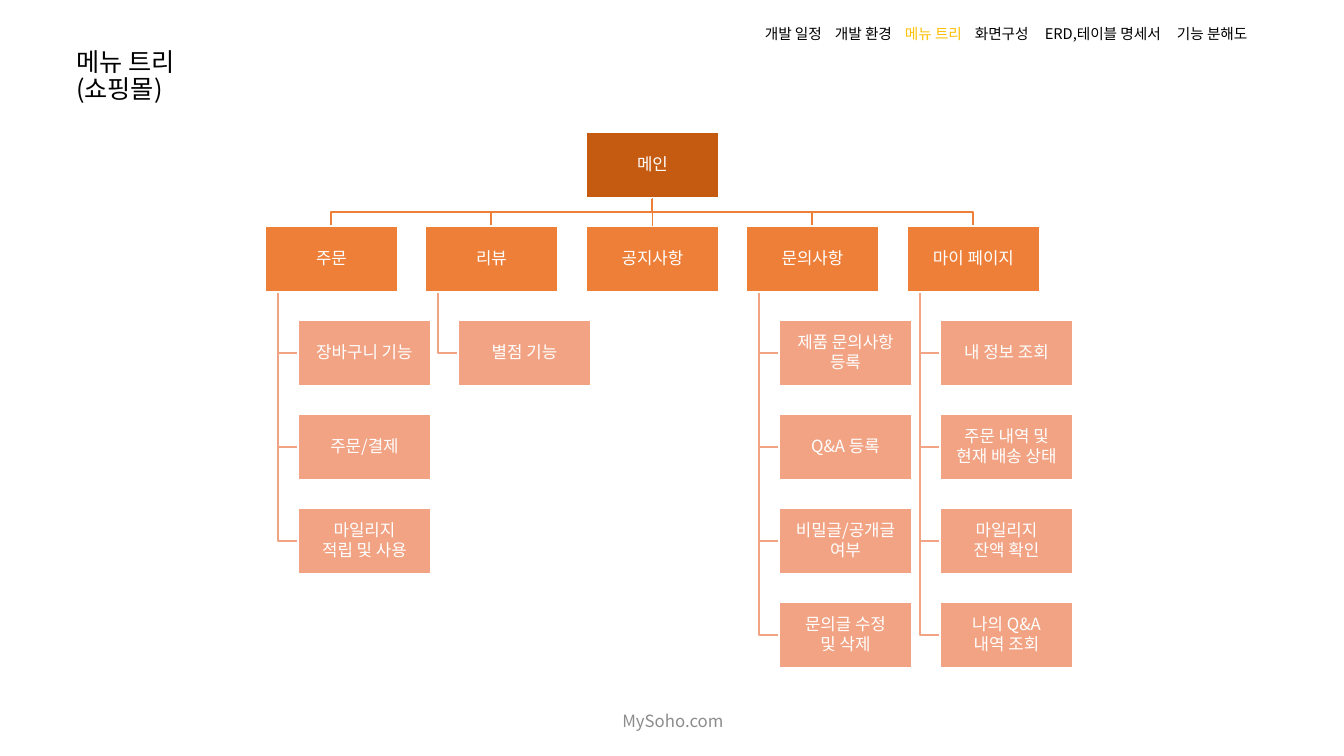
from dataclasses import dataclass
from lxml.etree import SubElement
from pptx import Presentation
from pptx.dml.color import RGBColor
from pptx.enum.shapes import MSO_CONNECTOR, MSO_SHAPE
from pptx.enum.text import MSO_ANCHOR, MSO_AUTO_SIZE, PP_ALIGN
from pptx.oxml.ns import qn
from pptx.shapes.autoshape import Shape
from pptx.slide import Slide
from pptx.text.text import TextFrame, _Run
from pptx.util import Emu, Pt

SCALE = 914400 / 100.8  # EMU per px
FONT = "Noto Sans CJK KR"
BLACK = RGBColor(0x00, 0x00, 0x00)
WHITE = RGBColor(0xFF, 0xFF, 0xFF)
GRAY = RGBColor(0x8C, 0x8C, 0x8C)
GOLD = RGBColor(0xFF, 0xC0, 0x00)
BROWN = RGBColor(0xC5, 0x5A, 0x11)
ORANGE = RGBColor(0xED, 0x7F, 0x39)
PEACH = RGBColor(0xF1, 0xA3, 0x83)

# Tree grid, in px
LEFT, TOP = 265, 132
BOX_W, BOX_H = 133, 66
ROW = 94
INDENT, TRUNK = 33, 13
BUS = TOP + (BOX_H + ROW) // 2


@dataclass
class Branch:
    name: str
    items: list[str]


@dataclass
class Tab:
    name: str
    stop: int
    color: RGBColor = BLACK


MENU = [
    Branch("주문", ["장바구니 기능", "주문/결제", "마일리지\n적립 및 사용"]),
    Branch("리뷰", ["별점 기능"]),
    Branch("공지사항", []),
    Branch("문의사항", ["제품 문의사항\n등록", "Q&A 등록", "비밀글/공개글\n여부",
                    "문의글 수정\n및 삭제"]),
    Branch("마이 페이지", ["내 정보 조회", "주문 내역 및\n현재 배송 상태",
                      "마일리지\n잔액 확인", "나의 Q&A\n내역 조회"]),
]
TABS = [
    Tab("개발 일정", 0),
    Tab("개발 환경", 70),
    Tab("메뉴 트리", 140, GOLD),
    Tab("화면구성", 210),
    Tab("ERD,테이블 명세서", 280),
    Tab("기능 분해도", 412),
]


def px(n: float) -> Emu:
    return Emu(round(n * SCALE))


def col(i: int) -> int:
    return LEFT + 321 * i // 2


def row(i: int) -> int:
    return TOP + ROW * i


def style(run: _Run, size: float, color: RGBColor) -> None:
    run.font.size = Pt(size)
    run.font.name = FONT
    run.font.color.rgb = color
    SubElement(run.font._element, qn("a:ea"), typeface=FONT)


def fill_text(frame: TextFrame, text: str, size: float, color: RGBColor) -> None:
    frame.text = text
    for para in frame.paragraphs:
        for run in para.runs:
            style(run, size, color)


def add_box(slide: Slide, x: int, y: int, text: str, color: RGBColor) -> Shape:
    box = slide.shapes.add_shape(MSO_SHAPE.RECTANGLE, px(x), px(y), px(BOX_W), px(BOX_H))
    box.shadow.inherit = False
    box.fill.solid()
    box.fill.fore_color.rgb = color
    box.line.color.rgb = WHITE
    box.line.width = Pt(1)
    frame = box.text_frame
    frame.margin_left = frame.margin_right = px(1)
    frame.margin_top = frame.margin_bottom = px(1)
    frame.vertical_anchor = MSO_ANCHOR.MIDDLE
    fill_text(frame, text, 12, WHITE)
    for para in frame.paragraphs:
        para.alignment = PP_ALIGN.CENTER
        para.line_spacing = 0.9
        para.space_after = Pt(1.5)
    return box


def add_elbow(slide: Slide, points: list[tuple[int, int]], color: RGBColor) -> None:
    path = slide.shapes.build_freeform(*points[0], scale=SCALE)
    path.add_line_segments(points[1:], close=False)
    elbow = path.convert_to_shape()
    elbow.shadow.inherit = False
    elbow.fill.background()
    elbow.line.color.rgb = color
    elbow.line.width = Pt(1)


def add_stem(slide: Slide, top: Shape, low: Shape) -> None:
    stem = slide.shapes.add_connector(MSO_CONNECTOR.STRAIGHT, 0, 0, 0, 0)
    stem.begin_connect(top, 2)
    stem.end_connect(low, 0)
    stem.line.color.rgb = ORANGE
    stem.line.width = Pt(1)
    SubElement(stem._element.spPr, qn("a:effectLst"))


def add_tree(slide: Slide) -> None:
    mid = len(MENU) // 2
    hub = col(mid) + BOX_W // 2
    # Lines lie behind the boxes
    for i, branch in enumerate(MENU):
        x = col(i)
        if i != mid:
            end = x + BOX_W // 2
            add_elbow(slide, [(hub, TOP + BOX_H), (hub, BUS), (end, BUS), (end, row(1))], ORANGE)
        for j in range(len(branch.items)):
            y = row(j + 2) + BOX_H // 2
            add_elbow(slide, [(x + TRUNK, row(1) + BOX_H), (x + TRUNK, y), (x + INDENT, y)], PEACH)
    # Boxes
    root = add_box(slide, col(mid), TOP, "메인", BROWN)
    for i, branch in enumerate(MENU):
        head = add_box(slide, col(i), row(1), branch.name, ORANGE)
        if i == mid:
            add_stem(slide, root, head)
        for j, item in enumerate(branch.items):
            add_box(slide, col(i) + INDENT, row(j + 2), item, PEACH)


def add_title(slide: Slide) -> None:
    title = slide.shapes.title
    title.left, title.top, title.width, title.height = px(66), px(48), px(142), px(61)
    frame = title.text_frame
    frame.vertical_anchor = MSO_ANCHOR.BOTTOM
    fill_text(frame, "메뉴 트리\v(쇼핑몰)", 18, BLACK)
    frame.paragraphs[0].alignment = PP_ALIGN.LEFT
    frame.paragraphs[0].line_spacing = 0.9


def add_nav(slide: Slide) -> None:
    frame = slide.shapes.add_textbox(px(755), px(20), px(552), px(28)).text_frame
    frame.word_wrap = True
    frame.auto_size = MSO_AUTO_SIZE.SHAPE_TO_FIT_TEXT
    para = frame.paragraphs[0]
    stops = SubElement(para._p.get_or_add_pPr(), qn("a:tabLst"))
    for i, tab in enumerate(TABS):
        if i:
            SubElement(stops, qn("a:tab"), pos=str(px(tab.stop)), algn="l")
        run = para.add_run()
        run.text = f"\t{tab.name}" if i else tab.name
        style(run, 10.5, tab.color)


def add_footer(slide: Slide) -> None:
    frame = slide.shapes.add_textbox(px(446), px(701), px(454), px(40)).text_frame
    frame.word_wrap = True
    frame.vertical_anchor = MSO_ANCHOR.MIDDLE
    fill_text(frame, "MySoho.com", 12, GRAY)
    frame.paragraphs[0].alignment = PP_ALIGN.CENTER


def main() -> None:
    deck = Presentation()
    deck.slide_width, deck.slide_height = px(1344), px(756)
    slide = deck.slides.add_slide(deck.slide_layouts[5])
    add_title(slide)
    add_tree(slide)
    add_footer(slide)
    add_nav(slide)
    deck.save("out.pptx")


if __name__ == "__main__":
    main()
